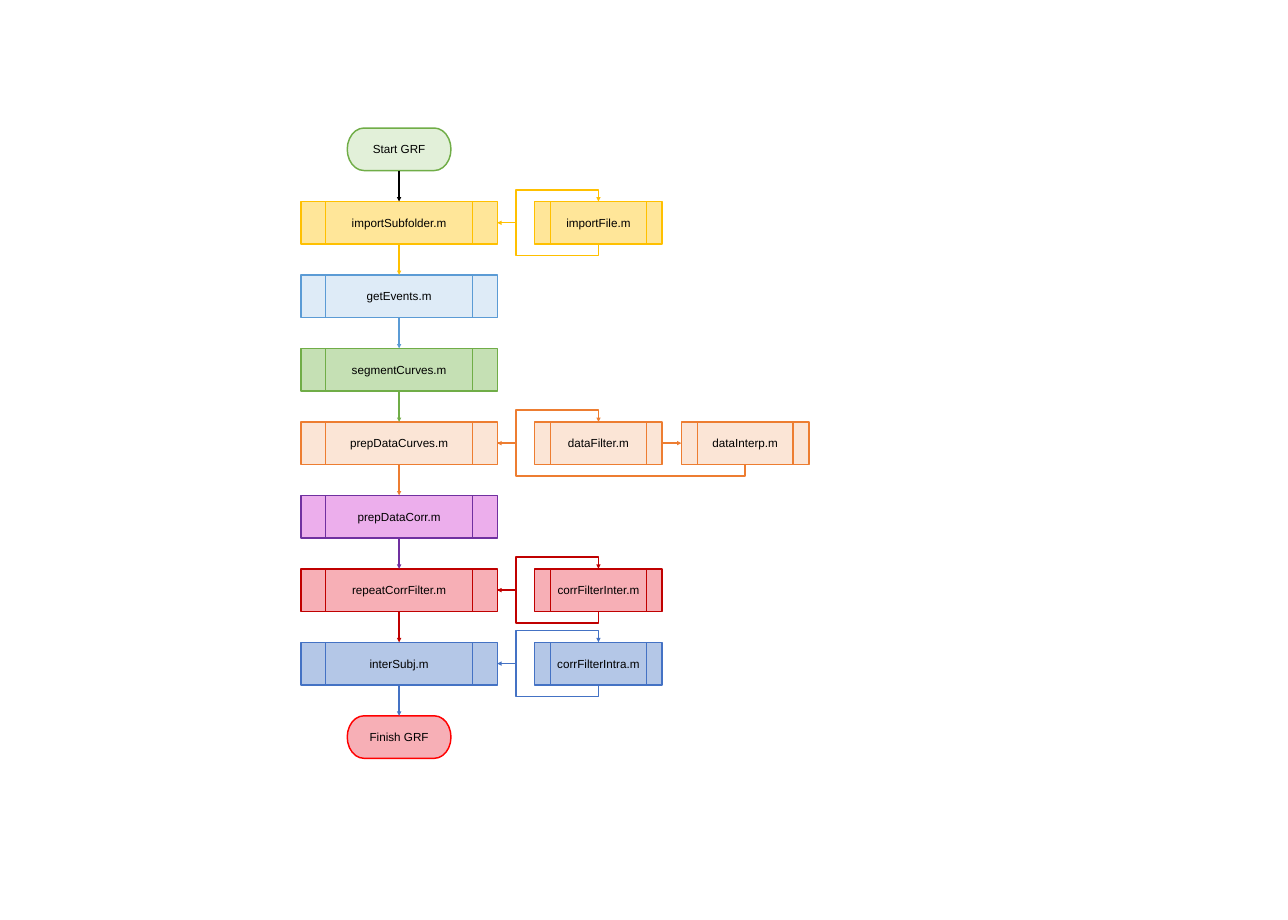
import lxml.etree
import pptx
import pptx.dml.color
import pptx.enum.shapes
import pptx.enum.text
import pptx.oxml.ns
import pptx.util

inch = pptx.util.Inches
qn = pptx.oxml.ns.qn
shapes = pptx.enum.shapes.MSO_SHAPE
connectors = pptx.enum.shapes.MSO_CONNECTOR
TOP, LEFT, BOTTOM, RIGHT = range(4)  # connection sites of a box

FIRST_ROW, LAST_ROW = 2.74, 15.32
ROW_PITCH = (LAST_ROW - FIRST_ROW) / 8
BOX_HEIGHT = 0.91
MAIN_CENTRE = 8.54
TERMINATOR_WIDTH, STEP_WIDTH, HELPER_WIDTH = 2.22, 4.2, 2.73
HELPER_COLUMNS = (11.44, 14.58)
LANE = 11.04       # vertical part of each loop
LOOP_MARGIN = 0.25  # how far a loop runs above and below a helper
LINE_WIDTH = pptx.util.Pt(2.25)

# label, fill, line, arrow to the next step, helper functions
steps = [
    ("Start GRF", "E2F0D9", "70AD47", "000000", []),
    ("importSubfolder.m", "FFE699", "FFC000", "FFC000", ["importFile.m"]),
    ("getEvents.m", "DEEBF7", "5B9BD5", "5B9BD5", []),
    ("segmentCurves.m", "C5E0B4", "70AD47", "70AD47", []),
    ("prepDataCurves.m", "FBE5D6", "ED7D31", "ED7D31", ["dataFilter.m", "dataInterp.m"]),
    ("prepDataCorr.m", "ECAEEC", "7030A0", "7030A0", []),
    ("repeatCorrFilter.m", "F7AFB6", "C00000", "C00000", ["corrFilterInter.m"]),
    ("interSubj.m", "B4C7E7", "4472C4", "4472C4", ["corrFilterIntra.m"]),
    ("Finish GRF", "F7AFB6", "FF0000", None, []),
]

deck = pptx.Presentation()
deck.slide_width, deck.slide_height = inch(27.56), inch(19.69)
page = deck.slides.add_slide(deck.slide_layouts[6])


def rgb(value):
    return pptx.dml.color.RGBColor.from_string(value)


def add_box(kind, left, top, width, label, fill, line):
    box = page.shapes.add_shape(kind, inch(left), inch(top), inch(width), inch(BOX_HEIGHT))
    box.shadow.inherit = False
    box.fill.solid()
    box.fill.fore_color.rgb = rgb(fill)
    box.line.color.rgb = rgb(line)
    box.line.width = LINE_WIDTH
    box.text_frame.vertical_anchor = pptx.enum.text.MSO_ANCHOR.MIDDLE
    para = box.text_frame.paragraphs[0]
    para.alignment = pptx.enum.text.PP_ALIGN.CENTER
    span = para.add_run()
    span.text = label
    span.font.color.rgb = rgb("000000")
    for name, value in {"name": "Arial", "size": pptx.util.Pt(18)}.items():
        setattr(span.font, name, value)
    return box


# Boxes, and the list of links between them: start, site, end, site, colour
links = []
previous, previous_arrow = None, None
for row, (label, fill, line, arrow, helpers) in enumerate(steps):
    top = FIRST_ROW + row * ROW_PITCH
    is_terminator = row in (0, len(steps) - 1)
    kind = shapes.FLOWCHART_TERMINATOR if is_terminator else shapes.FLOWCHART_PREDEFINED_PROCESS
    width = TERMINATOR_WIDTH if is_terminator else STEP_WIDTH
    step = add_box(kind, MAIN_CENTRE - width / 2, top, width, label, fill, line)
    if previous:
        links.append((previous, BOTTOM, step, TOP, previous_arrow))
    previous, previous_arrow = step, arrow

    boxes = [add_box(shapes.FLOWCHART_PREDEFINED_PROCESS, left, top, HELPER_WIDTH,
                     helper, fill, line)
             for left, helper in zip(HELPER_COLUMNS, helpers)]
    if boxes:
        links.append((step, RIGHT, boxes[0], TOP, line))
        links += [(a, RIGHT, b, LEFT, line) for a, b in zip(boxes, boxes[1:])]
        links.append((boxes[-1], BOTTOM, step, RIGHT, line))

# Arrows
for start, start_site, end, end_site, colour in links:
    is_loop = RIGHT in (start_site, end_site) and end_site != LEFT
    link = page.shapes.add_connector(
        connectors.ELBOW if is_loop else connectors.STRAIGHT, 0, 0, 0, 0)
    link.begin_connect(start, start_site)
    link.end_connect(end, end_site)
    link.line.color.rgb = rgb(colour)
    link.line.width = LINE_WIDTH
    properties = link._element.spPr
    lxml.etree.SubElement(properties.find(qn("a:ln")), qn("a:tailEnd"), type="triangle")
    lxml.etree.SubElement(properties, qn("a:effectLst"))
    if not is_loop:
        continue

    # A loop has four parts; its bends are shares of the connector's own box
    width, height = link.width, link.height
    lane_share = (inch(LANE) - min(link.begin_x, link.end_x)) / width
    margin_share = inch(LOOP_MARGIN) / height
    bends = (lane_share, 1 + margin_share)
    if start_site == BOTTOM:
        bends = (-margin_share, 1 - lane_share)
        link.left += (width - height) // 2
        link.top += (height - width) // 2
        link.width, link.height = height, width
        frame = properties.find(qn("a:xfrm"))
        for name, value in {"rot": "5400000", "flipH": "1", "flipV": "0"}.items():
            frame.set(name, value)
    geometry = properties.find(qn("a:prstGeom"))
    geometry.set("prst", "bentConnector4")
    guides = geometry.find(qn("a:avLst"))
    for number, share in enumerate(bends, 1):
        lxml.etree.SubElement(guides, qn("a:gd"), name=f"adj{number}",
                              fmla=f"val {round(share * 100000)}")

deck.save("out.pptx")
